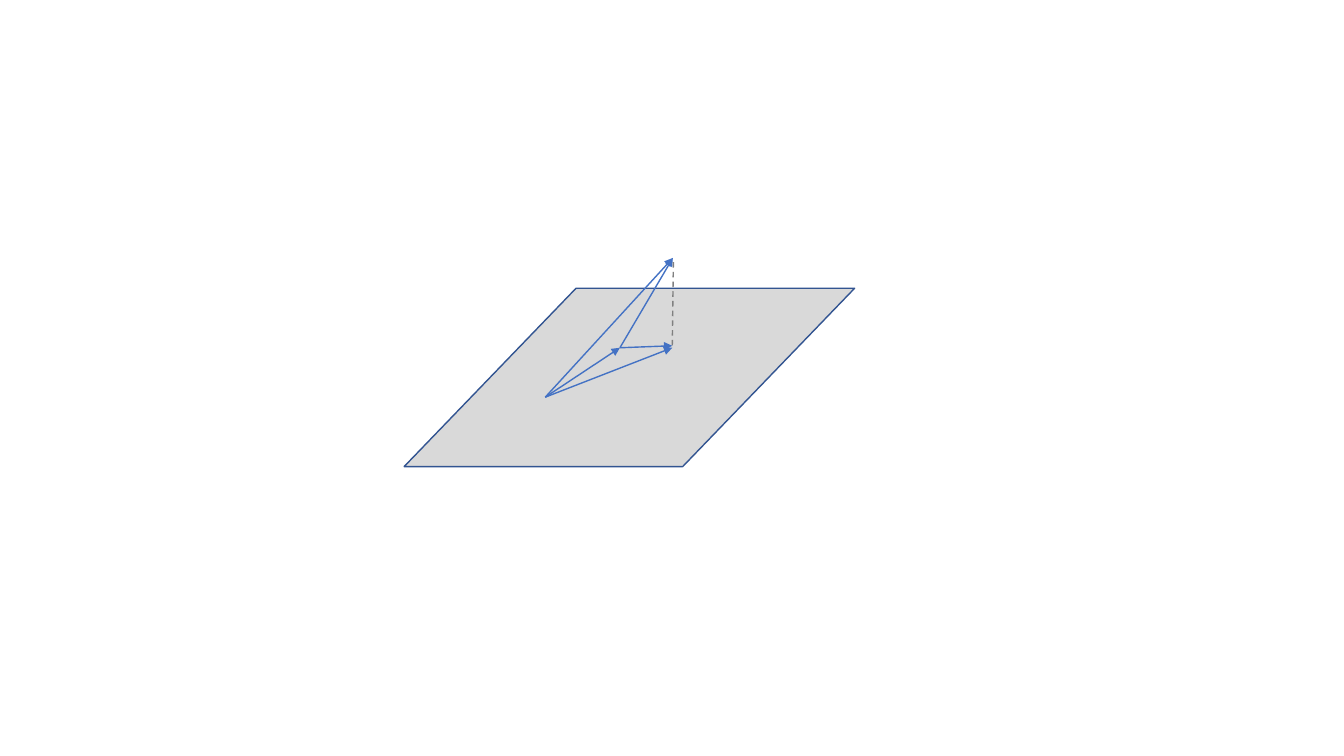
from lxml.etree import SubElement
from pptx import Presentation
from pptx.dml.color import RGBColor
from pptx.enum.dml import MSO_LINE
from pptx.enum.shapes import MSO_CONNECTOR, MSO_SHAPE
from pptx.oxml.ns import qn
from pptx.util import Pt


def color(hex_string):
    return RGBColor.from_string(hex_string)


class ProjectionDiagram:
    plane_fill = "D9D9D9"
    plane_line = "325491"
    vector_line = "4472C4"
    drop_line = "808080"
    line_format = {"width": Pt(1)}

    def __init__(self, slide):
        self.shapes = slide.shapes.add_group_shape().shapes

    def format_line(self, line, hex_string, **extra):
        line.fill.solid()
        line.color.rgb = color(hex_string)
        for name, value in {**self.line_format, **extra}.items():
            setattr(line, name, value)

    def plane(self, left, top, width, height, slant):
        shape = self.shapes.add_shape(
            MSO_SHAPE.PARALLELOGRAM, Pt(left), Pt(top), Pt(width), Pt(height))
        shape.adjustments[0] = slant
        shape.shadow.inherit = False
        shape.fill.solid()
        shape.fill.fore_color.rgb = color(self.plane_fill)
        self.format_line(shape.line, self.plane_line)

    def segment(self, start, end, hex_string, **extra):
        connector = self.shapes.add_connector(
            MSO_CONNECTOR.STRAIGHT, *(Pt(value) for value in (*start, *end)))
        self.format_line(connector.line, hex_string, **extra)
        SubElement(connector._element.spPr, qn("a:effectLst"))
        return connector

    def vector(self, start, end):
        connector = self.segment(start, end, self.vector_line)
        outline = connector._element.spPr.find(qn("a:ln"))
        SubElement(outline, qn("a:tailEnd"), type="triangle")

    def drop(self, start, end):
        self.segment(start, end, self.drop_line, dash_style=MSO_LINE.DASH)


def main():
    presentation = Presentation()
    presentation.slide_width = Pt(960)
    presentation.slide_height = Pt(540)
    slide = presentation.slides.add_slide(presentation.slide_layouts[6])
    diagram = ProjectionDiagram(slide)

    origin = (389.5, 283.7)
    middle = (442.8, 248.4)
    tip = (480.6, 184.3)
    foot = (480.2, 248.4)

    diagram.plane(288.7, 205.9, 321.8, 127.4, 0.964)
    diagram.vector(origin, tip)
    diagram.vector(origin, middle)
    diagram.vector(middle, tip)
    diagram.drop((481, 187.2), foot)
    diagram.vector(middle, (480.2, 247))
    diagram.vector(origin, foot)
    presentation.save("out.pptx")


if __name__ == "__main__":
    main()
